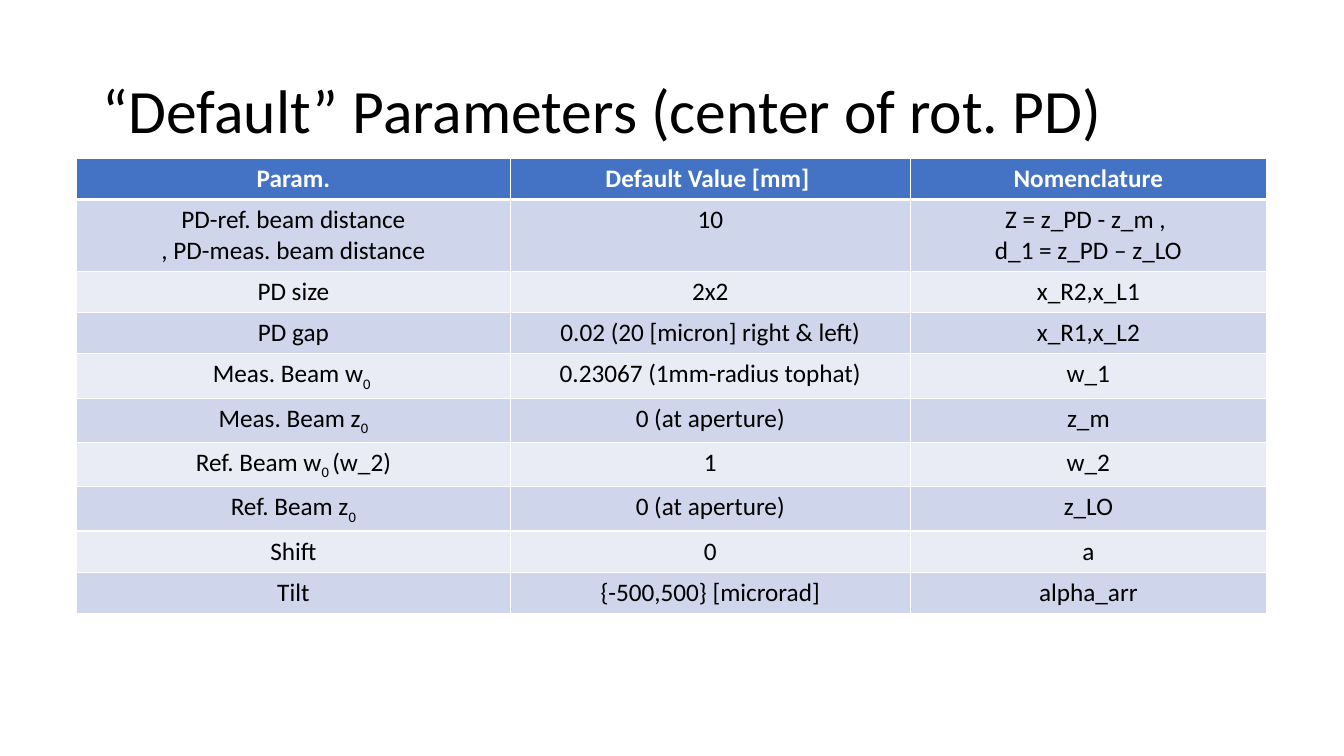
from pptx import Presentation
from pptx.dml.color import RGBColor
from pptx.enum import text
from pptx.oxml import parse_xml
from pptx.oxml.ns import nsdecls
from pptx.util import Inches, Pt

BLACK = RGBColor(0x00, 0x00, 0x00)
WHITE = RGBColor(0xFF, 0xFF, 0xFF)
HEADER_BLUE = RGBColor(0x44, 0x72, 0xC4)
BAND_DARK = RGBColor(0xCF, 0xD5, 0xEA)
BAND_LIGHT = RGBColor(0xE9, 0xEB, 0xF5)

TITLE_FONT = {"name": "Calibri", "size": Pt(44), "bold": False}
HEADER_FONT = {"name": "Calibri", "size": Pt(18), "bold": True}
BODY_FONT = {"name": "Calibri", "size": Pt(18), "bold": False}

COLUMN_WIDTHS = (4.3, 3.97, 3.53)
ROW_HEIGHT = 0.41

# A tuple alternates normal text and subscripts.
PARAMETERS = [
    ("Param.", "Default Value [mm] ", "Nomenclature"),
    ("PD-ref. beam distance\n, PD-meas. beam distance", "10",
     "Z = z_PD - z_m , \nd_1 = z_PD – z_LO"),
    ("PD size", "2x2", "x_R2,x_L1"),
    ("PD gap", "0.02 (20 [micron] right & left)", "x_R1,x_L2"),
    (("Meas. Beam w", "0 "), "0.23067 (1mm-radius tophat)", "w_1"),
    (("Meas. Beam z", "0"), "0 (at aperture)", "z_m"),
    (("Ref. Beam w", "0 ", "(w_2)"), "1", "w_2"),
    (("Ref. Beam z", "0"), "0 (at aperture)", "z_LO"),
    ("Shift", "0", "a"),
    ("Tilt", "{-500,500} [microrad]", "alpha_arr"),
]


def set_font(font, values, color):
    for name, value in values.items():
        setattr(font, name, value)
    font.color.rgb = color


def add_runs(p, content, values, color):
    """Write text with line breaks; odd parts of a tuple are subscripts."""
    parts = (content,) if isinstance(content, str) else content
    for i, part in enumerate(parts):
        for j, line in enumerate(part.split("\n")):
            if j:
                p.add_line_break()
            r = p.add_run()
            r.text = line
            set_font(r.font, values, color)
            if i % 2:
                r._r.get_or_add_rPr().set("baseline", "-25000")


def set_borders(cell, widths):
    """Draw white borders; widths maps a side (L, R, T, B) to points."""
    tc_pr = cell._tc.get_or_add_tcPr()
    for side, width in widths.items():
        tc_pr.append(parse_xml(
            f'<a:ln{side} {nsdecls("a")} w="{Pt(width)}"><a:solidFill>'
            f'<a:srgbClr val="{WHITE}"/></a:solidFill></a:ln{side}>'))


def add_title(slide, content):
    sp = slide.shapes.title
    sp.left, sp.top = Inches(0.92), Inches(0.4)
    sp.width, sp.height = Inches(11.5), Inches(1.45)
    tf = sp.text_frame
    tf.vertical_anchor = text.MSO_ANCHOR.MIDDLE
    tf.auto_size = text.MSO_AUTO_SIZE.NONE
    p = tf.paragraphs[0]
    p.alignment = text.PP_ALIGN.LEFT
    p.line_spacing = 0.9
    add_runs(p, content, TITLE_FONT, BLACK)


def add_parameter_table(slide, rows):
    table = slide.shapes.add_table(
        len(rows), len(COLUMN_WIDTHS), Inches(0.76), Inches(1.57),
        Inches(sum(COLUMN_WIDTHS)), Inches(ROW_HEIGHT * len(rows))).table
    for column, width in zip(table.columns, COLUMN_WIDTHS):
        column.width = Inches(width)
    for i, row in enumerate(rows):
        table.rows[i].height = Inches(ROW_HEIGHT)
        if i == 0:
            fill, values, color = HEADER_BLUE, HEADER_FONT, WHITE
        else:
            fill = BAND_DARK if i % 2 else BAND_LIGHT
            values, color = BODY_FONT, BLACK
        borders = {"L": 1, "R": 1, "T": 3 if i == 1 else 1, "B": 3 if i == 0 else 1}
        for j, content in enumerate(row):
            cell = table.cell(i, j)
            set_borders(cell, borders)
            cell.fill.solid()
            cell.fill.fore_color.rgb = fill
            p = cell.text_frame.paragraphs[0]
            p.alignment = text.PP_ALIGN.CENTER
            add_runs(p, content, values, color)


def main():
    prs = Presentation()
    prs.slide_width, prs.slide_height = Inches(13.33), Inches(7.5)
    slide = prs.slides.add_slide(prs.slide_layouts[5])
    add_title(slide, "“Default” Parameters (center of rot. PD)")
    add_parameter_table(slide, PARAMETERS)
    prs.save("out.pptx")


if __name__ == "__main__":
    main()
